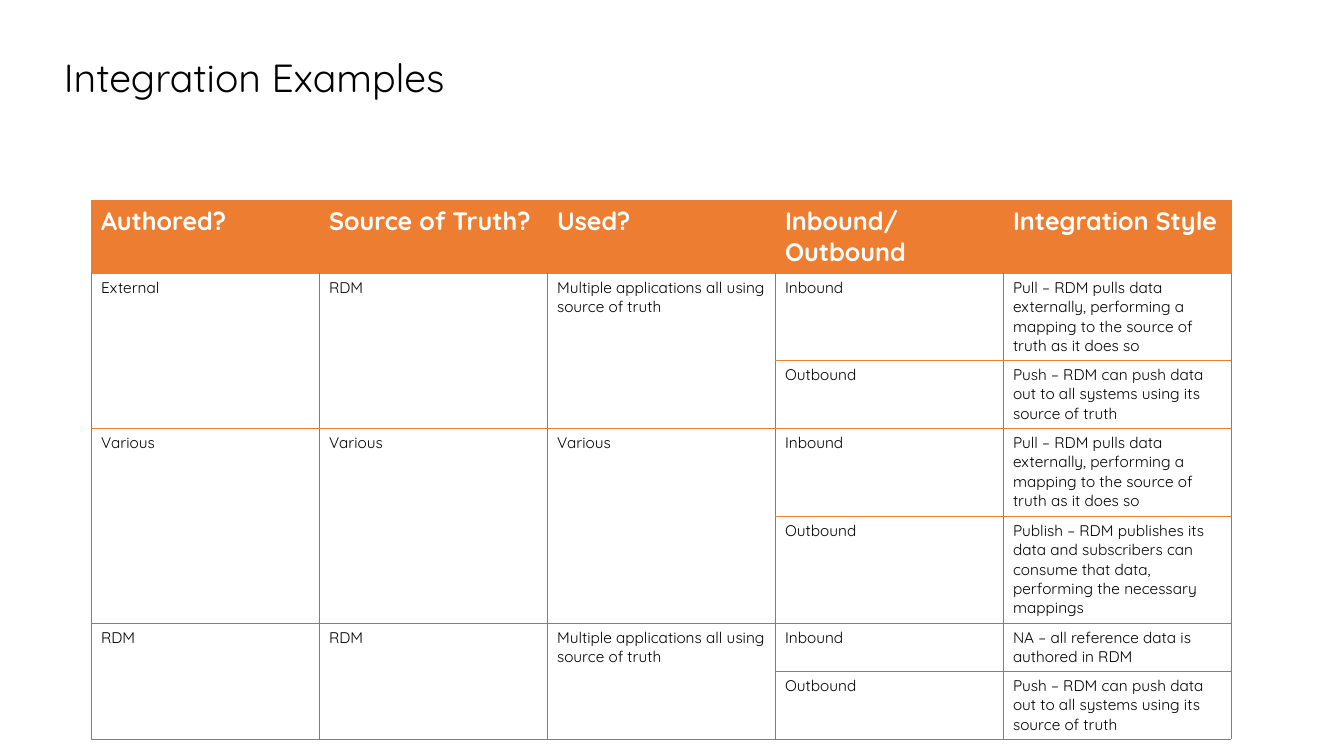
"""Build the Integration Examples slide with its table of integration styles."""
from dataclasses import dataclass

from lxml.etree import SubElement
from pptx import Presentation
from pptx.dml.color import RGBColor
from pptx.oxml.ns import qn
from pptx.slide import Slide
from pptx.table import Table, _Cell
from pptx.text.text import TextFrame
from pptx.util import Emu, Pt


@dataclass(frozen=True)
class Theme:
    font: str = "Quicksand"
    orange: str = "ED7D31"
    grey: str = "7F7F7F"
    white: str = "FFFFFF"
    black: str = "000000"
    title: int = 28
    header: int = 18
    body: int = 11
    border: float = 0.5


@dataclass(frozen=True)
class Flow:
    direction: str
    style: str
    height: int
    rule: str


@dataclass(frozen=True)
class Example:
    authored: str
    truth: str
    used: str
    flows: tuple[Flow, Flow]


THEME = Theme()
SLIDE_W, SLIDE_H = 1344, 756
TABLE_X, TABLE_Y, COLUMN_W, HEADER_H = 91, 200, 228, 73
HEADERS = ("Authored?", "Source of Truth?", "Used?", "Inbound/Outbound", "Integration Style")
PULL = "Pull – RDM pulls data externally, performing a mapping to the source of truth as it does so"
PUSH = "Push – RDM can push data out to all systems using its source of truth"
PUBLISH = ("Publish – RDM publishes its data and subscribers can consume that data, "
           "performing the necessary mappings")
AUTHORED = "NA – all reference data is authored in RDM"
SHARED = "Multiple applications all using source of truth"
EXAMPLES = (
    Example("External", "RDM", SHARED, (
        Flow("Inbound", PULL, 87, THEME.orange),
        Flow("Outbound", PUSH, 68, THEME.orange))),
    Example("Various", "Various", "Various", (
        Flow("Inbound", PULL, 88, THEME.orange),
        Flow("Outbound", PUBLISH, 107, THEME.grey))),
    Example("RDM", "RDM", SHARED, (
        Flow("Inbound", AUTHORED, 48, THEME.grey),
        Flow("Outbound", PUSH, 68, THEME.grey))),
)


def px(n: int) -> Emu:
    """Turn whole slide pixels into EMU."""
    return Emu(round(n * 914400 / 100.8))


def write(tf: TextFrame, text: str, *, size: int, color: str = THEME.black,
          bold: bool = False, spacing: float = 1.0) -> None:
    """Write one formatted paragraph into a text frame."""
    tf.word_wrap = True
    p = tf.paragraphs[0]
    p.line_spacing = spacing
    r = p.add_run()
    r.text = text
    r.font.name = THEME.font
    r.font.size = Pt(size)
    r.font.bold = bold
    r.font.color.rgb = RGBColor.from_string(color)


def style_cell(cell: _Cell, fill: str, side: str, top: str, bottom: str) -> None:
    """Give a cell its four borders and its fill."""
    tc_pr = cell._tc.get_or_add_tcPr()
    for edge, color in zip("LRTB", (side, side, top, bottom)):
        ln = SubElement(tc_pr, qn(f"a:ln{edge}"), w=str(Pt(THEME.border)))
        SubElement(SubElement(ln, qn("a:solidFill")), qn("a:srgbClr"), val=color)
    cell.fill.solid()
    cell.fill.fore_color.rgb = RGBColor.from_string(fill)


def add_example(table: Table, row: int, example: Example, top: str) -> None:
    """Fill the two rows of one example, merging its shared columns."""
    first, last = example.flows
    shared = (example.authored, example.truth, example.used)
    for col, text in enumerate(shared):
        for offset in range(2):
            style_cell(table.cell(row + offset, col), THEME.white, THEME.grey, top, last.rule)
        table.cell(row, col).merge(table.cell(row + 1, col))
        write(table.cell(row, col).text_frame, text, size=THEME.body)
    for offset, (flow, above) in enumerate(zip(example.flows, (top, first.rule))):
        table.rows[row + offset].height = px(flow.height)
        for col, text in enumerate((flow.direction, flow.style), len(shared)):
            cell = table.cell(row + offset, col)
            style_cell(cell, THEME.white, THEME.grey, above, flow.rule)
            write(cell.text_frame, text, size=THEME.body)


def add_examples_table(s: Slide) -> None:
    """Add the table with its header and all examples."""
    flows = [flow for example in EXAMPLES for flow in example.flows]
    height = HEADER_H + sum(flow.height for flow in flows)
    table = s.shapes.add_table(len(flows) + 1, len(HEADERS), px(TABLE_X), px(TABLE_Y),
                               px(COLUMN_W * len(HEADERS)), px(height)).table
    table.horz_banding = False
    table.rows[0].height = px(HEADER_H)
    for col, text in enumerate(HEADERS):
        table.columns[col].width = px(COLUMN_W)
        cell = table.cell(0, col)
        style_cell(cell, THEME.orange, THEME.orange, THEME.orange, THEME.orange)
        write(cell.text_frame, text, size=THEME.header, color=THEME.white, bold=True)
    top = THEME.orange
    for i, example in enumerate(EXAMPLES):
        add_example(table, 1 + 2 * i, example, top)
        top = example.flows[-1].rule


def main() -> None:
    """Build and save the presentation."""
    prs = Presentation()
    prs.slide_width, prs.slide_height = px(SLIDE_W), px(SLIDE_H)
    s = prs.slides.add_slide(prs.slide_layouts[6])
    sp = s.shapes.add_textbox(px(54), px(54), px(1067), px(56))
    write(sp.text_frame, "Integration Examples", size=THEME.title, spacing=0.9)
    add_examples_table(s)
    prs.save("out.pptx")


if __name__ == "__main__":
    main()
